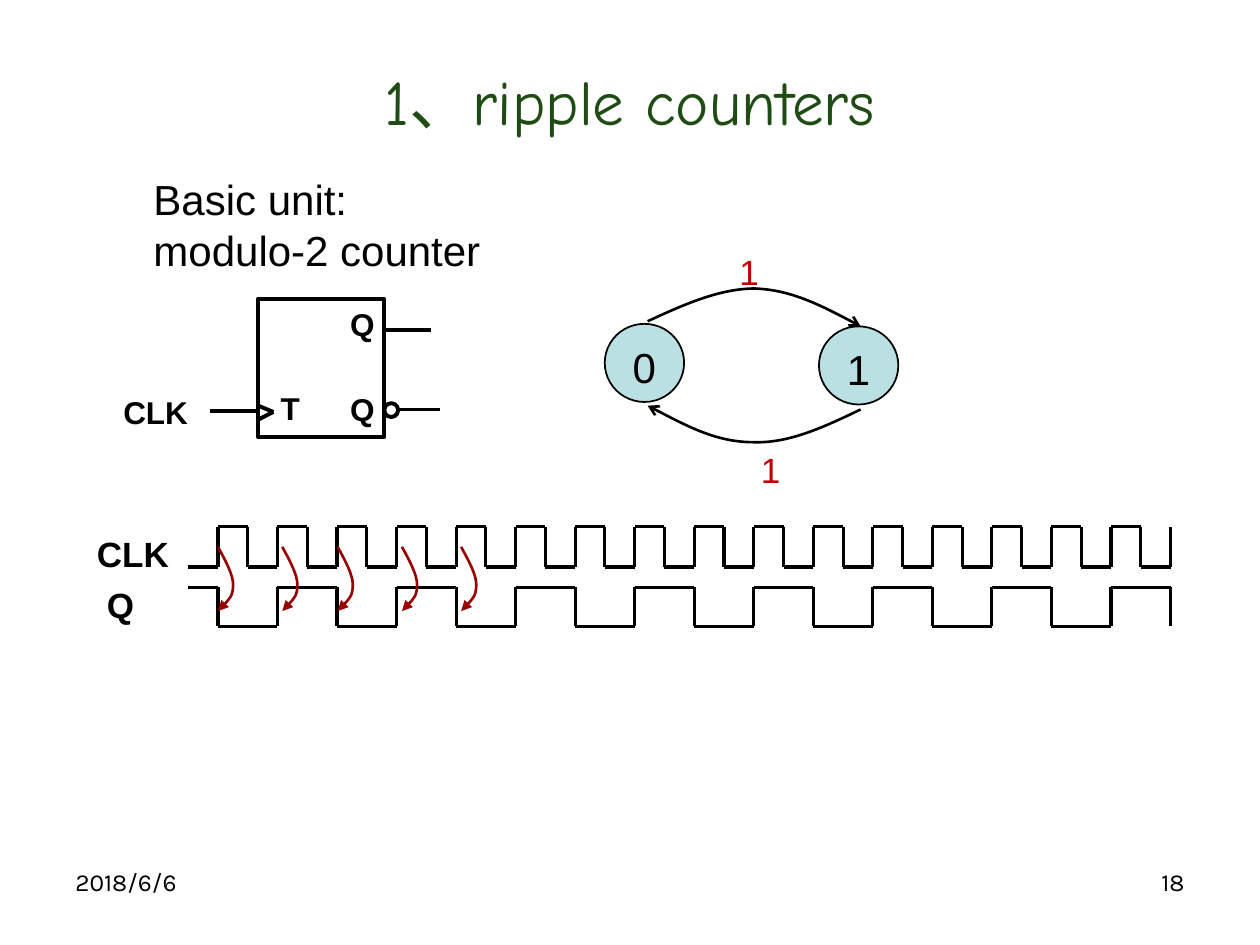
from dataclasses import dataclass

from lxml.etree import SubElement
from pptx import Presentation
from pptx.dml.color import RGBColor
from pptx.enum.shapes import MSO_CONNECTOR, MSO_SHAPE
from pptx.enum.text import MSO_ANCHOR, PP_ALIGN
from pptx.oxml.ns import qn
from pptx.util import Inches, Pt

COLORS = {"ink": "000000", "title": "1F4B15", "state": "BBE0E3",
          "input": "C00000", "trigger": "990000"}
Point = tuple[float, float]


@dataclass
class Label:
    text: str
    left: float
    top: float
    width: float
    height: float
    size: int
    bold: bool = False
    color: str = "ink"
    font: str = "Arial"
    align: PP_ALIGN = PP_ALIGN.LEFT


@dataclass
class Curve:
    """A start point followed by three points for each Bezier piece."""
    points: list[Point]
    color: str
    head: str


@dataclass
class Wave:
    first_level: float
    second_level: float
    step: float
    edges: int


def rgb(name: str) -> RGBColor:
    return RGBColor.from_string(COLORS[name])


def write(frame, label: Label) -> None:
    for index, line in enumerate(label.text.split("\n")):
        para = frame.paragraphs[0] if index == 0 else frame.add_paragraph()
        para.alignment = label.align
        span = para.add_run()
        span.text = line
        span.font.size = Pt(label.size)
        span.font.name = label.font
        span.font.bold = label.bold
        span.font.color.rgb = rgb(label.color)


def place(shape, label: Label) -> None:
    shape.left, shape.top = Inches(label.left), Inches(label.top)
    shape.width, shape.height = Inches(label.width), Inches(label.height)


def add_label(shapes, label: Label) -> None:
    box = shapes.add_textbox(0, 0, 0, 0)
    place(box, label)
    box.text_frame.word_wrap = True
    write(box.text_frame, label)


def add_line(shapes, start: Point, end: Point, weight: float) -> None:
    line = shapes.add_connector(MSO_CONNECTOR.STRAIGHT,
                                *(Inches(value) for value in start + end))
    line.line.color.rgb = rgb("ink")
    line.line.width = Pt(weight)
    SubElement(line._element.spPr, qn("a:effectLst"))


def add_outline(shapes, kind: MSO_SHAPE, left: float, top: float, width: float,
                height: float, weight: float, fill: str | None = None):
    shape = shapes.add_shape(kind, Inches(left), Inches(top),
                             Inches(width), Inches(height))
    shape.shadow.inherit = False
    if fill:
        shape.fill.solid()
        shape.fill.fore_color.rgb = rgb(fill)
    else:
        shape.fill.background()
    shape.line.color.rgb = rgb("ink")
    shape.line.width = Pt(weight)
    return shape


def add_curve(shapes, curve: Curve) -> None:
    start, *controls = [(Inches(x), Inches(y)) for x, y in curve.points]
    builder = shapes.build_freeform(*start)
    builder.add_line_segments(controls, close=False)
    shape = builder.convert_to_shape()
    shape.shadow.inherit = False
    shape.fill.background()
    shape.line.color.rgb = rgb(curve.color)
    shape.line.width = Pt(1.5)
    SubElement(shape._element.spPr.find(qn("a:ln")), qn("a:tailEnd"),
               type=curve.head)
    # Turn each three straight segments into one cubic Bezier piece.
    outline = next(shape._element.iter(qn("a:path")))
    segments = outline.findall(qn("a:lnTo"))
    for first in range(0, len(segments), 3):
        bezier = SubElement(outline, qn("a:cubicBezTo"))
        for segment in segments[first:first + 3]:
            bezier.append(segment[0])
            outline.remove(segment)


def add_wave(shapes, wave: Wave) -> None:
    group = shapes.add_group_shape().shapes
    level, other = wave.first_level, wave.second_level
    previous = WAVE_LEFT
    for edge in range(wave.edges):
        x = FIRST_EDGE + edge * wave.step
        add_line(group, (previous, level), (x, level), 1.75)
        add_line(group, (x, level), (x, other), 1.75)
        level, other, previous = other, level, x


WAVE_LEFT, FIRST_EDGE, LAST_EDGE = 1.49, 1.73, 9.29
HALF_PERIOD = (LAST_EDGE - FIRST_EDGE) / 32
WAVES = [Wave(4.5, 4.18, HALF_PERIOD, 33), Wave(4.66, 4.97, 2 * HALF_PERIOD, 17)]

TITLE = Label("1、ripple counters", 0.5, 0.3, 9, 0.99, 36, color="title",
              font="Comic Neue", align=PP_ALIGN.CENTER)
FLIP_FLOP_LABELS = [
    Label("CLK", 0.88, 3.07, 0.79, 0.4, 18, True),
    Label("Q", 2.68, 2.37, 0.3, 0.4, 18, True),
    Label("Q", 2.68, 3.05, 0.3, 0.4, 18, True),
    Label("T", 2.13, 3.04, 0.36, 0.4, 18, True),
]
FLIP_FLOP_LINES = [
    ((2.04, 3.26), (1.67, 3.26)),
    ((3.49, 3.25), (3.16, 3.25)),
    ((3.42, 2.62), (3.05, 2.62)),
    ((2.17, 3.27), (2.05, 3.33)),
    ((2.17, 3.27), (2.05, 3.22)),
]
LABELS = [
    Label("2018/6/6", 0.5, 6.83, 2.33, 0.52, 14, font="Karla"),
    Label("18", 7.17, 6.83, 2.33, 0.52, 14, font="Karla", align=PP_ALIGN.RIGHT),
    Label("Basic unit:\nmodulo-2 counter", 1.12, 1.33, 2.86, 0.91, 24),
    Label("1", 5.67, 1.94, 0.55, 0.44, 20, color="input", align=PP_ALIGN.CENTER),
    Label("1", 5.84, 3.51, 0.55, 0.44, 20, color="input", align=PP_ALIGN.CENTER),
    Label("CLK", 0.67, 4.18, 0.79, 0.43, 20, True),
    Label("Q", 0.75, 4.58, 0.71, 0.43, 20, True),
]
STATES = [
    Label("0", 4.8, 2.57, 0.63, 0.62, 24, align=PP_ALIGN.CENTER),
    Label("1", 6.5, 2.59, 0.63, 0.62, 24, align=PP_ALIGN.CENTER),
]
TRANSITIONS = [
    Curve([(5.14, 2.55), (5.42, 2.42), (5.71, 2.29), (5.99, 2.29),
           (6.27, 2.3), (6.55, 2.44), (6.83, 2.59)], "ink", "arrow"),
    Curve([(6.83, 3.25), (6.54, 3.39), (6.26, 3.52), (5.98, 3.51),
           (5.69, 3.51), (5.41, 3.36), (5.14, 3.22)], "ink", "arrow"),
]
TRIGGER_LEFTS = [1.73, 2.24, 2.68, 3.19, 3.66]
TRIGGER_POINTS = [(0, 4.34), (0.06, 4.45), (0.12, 4.56), (0.12, 4.64),
                  (0.12, 4.73), (0.06, 4.79), (0, 4.85)]


def add_flip_flop(shapes) -> None:
    group = shapes.add_group_shape().shapes
    add_outline(group, MSO_SHAPE.RECTANGLE, 2.05, 2.37, 1, 1.1, 2.25)
    add_outline(group, MSO_SHAPE.OVAL, 3.05, 3.2, 0.11, 0.11, 2.25)
    for start, end in FLIP_FLOP_LINES:
        add_line(group, start, end, 2.25)
    for label in FLIP_FLOP_LABELS:
        add_label(group, label)


def add_state(shapes, state: Label) -> None:
    circle = add_outline(shapes, MSO_SHAPE.OVAL, state.left, state.top,
                         state.width, state.height, 1, "state")
    circle.text_frame.word_wrap = False
    circle.text_frame.vertical_anchor = MSO_ANCHOR.TOP
    write(circle.text_frame, state)


def main() -> None:
    deck = Presentation()
    deck.slide_width, deck.slide_height = Inches(10), Inches(7.5)
    page = deck.slides.add_slide(deck.slide_layouts[5])
    shapes = page.shapes
    place(shapes.title, TITLE)
    shapes.title.text_frame.vertical_anchor = MSO_ANCHOR.MIDDLE
    write(shapes.title.text_frame, TITLE)
    add_flip_flop(shapes)
    for state in STATES:
        add_state(shapes, state)
    for transition in TRANSITIONS:
        add_curve(shapes, transition)
    for label in LABELS:
        add_label(shapes, label)
    for wave in WAVES:
        add_wave(shapes, wave)
    for left in TRIGGER_LEFTS:
        points = [(left + x, y) for x, y in TRIGGER_POINTS]
        add_curve(shapes, Curve(points, "trigger", "triangle"))
    deck.save("out.pptx")


if __name__ == "__main__":
    main()
